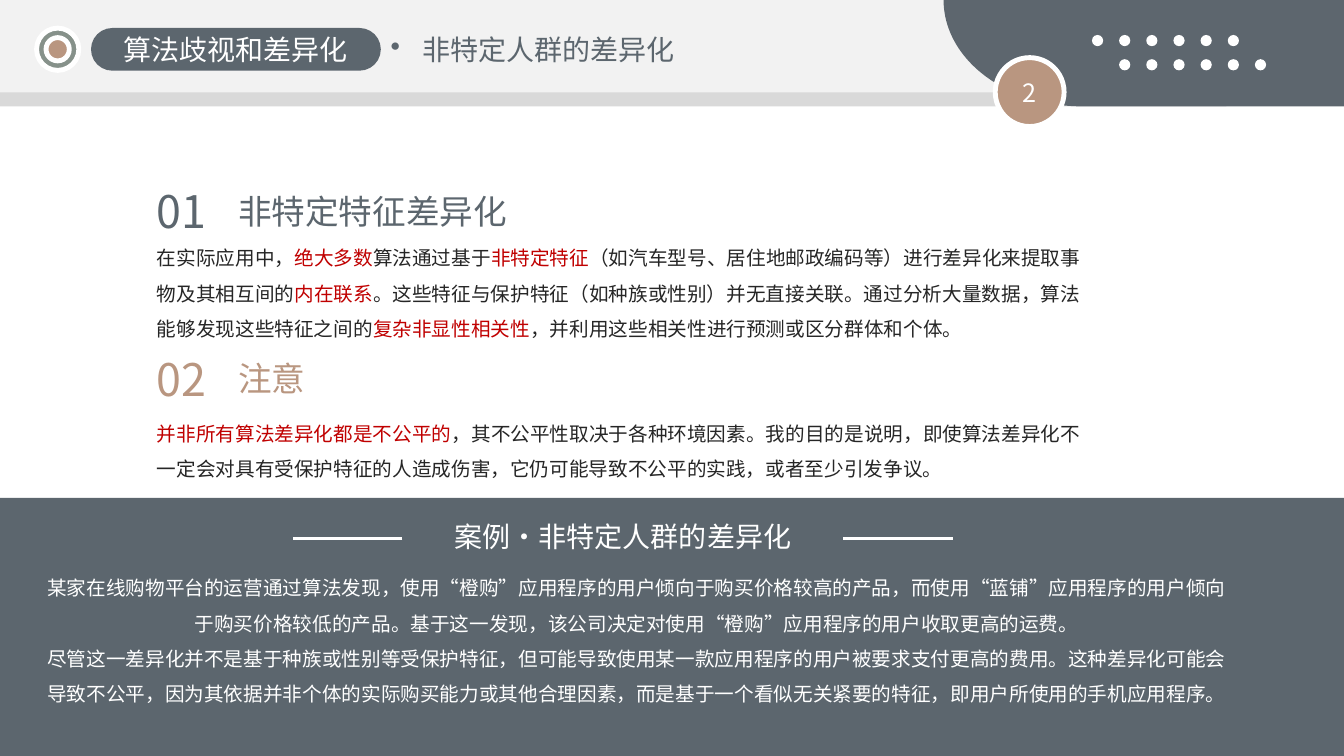
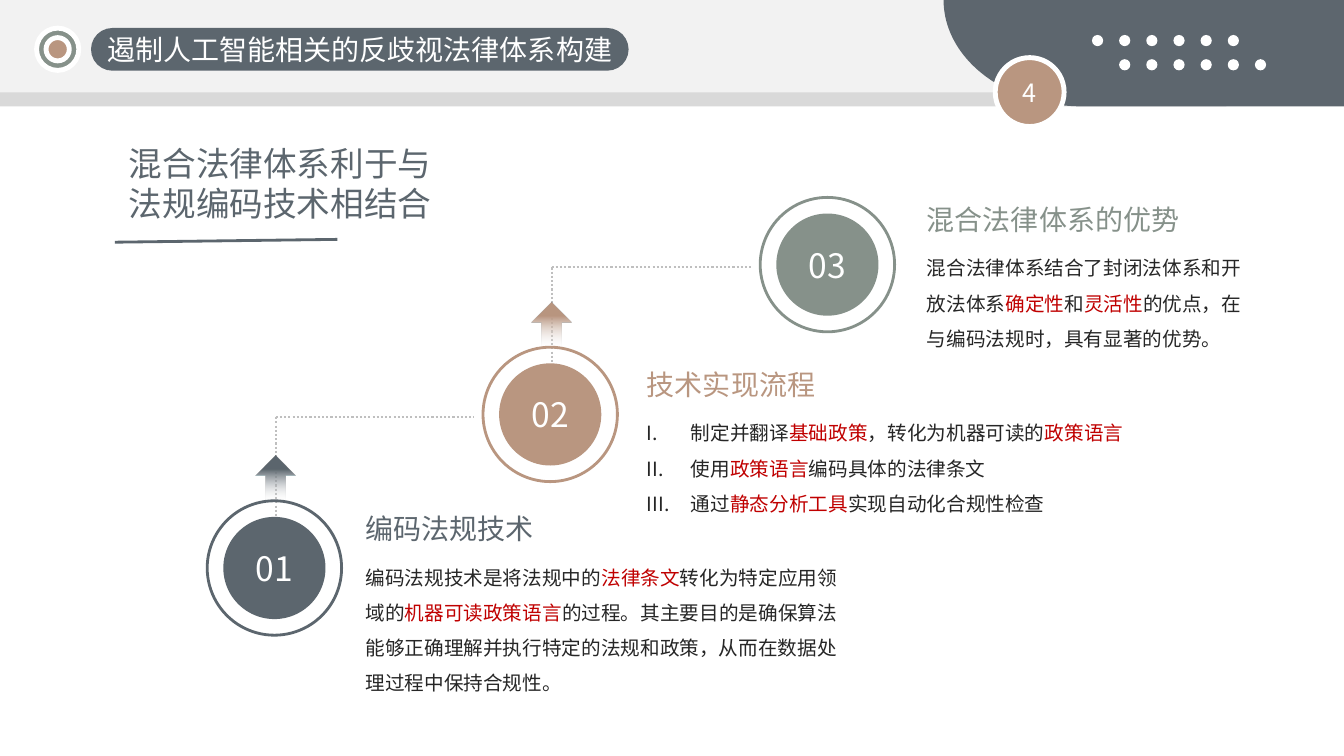
from math import cos, pi, sin

from lxml import etree
from pptx import Presentation
from pptx.dml.color import RGBColor
from pptx.enum.dml import MSO_LINE
from pptx.enum.shapes import MSO_CONNECTOR, MSO_SHAPE
from pptx.enum.text import MSO_ANCHOR, PP_ALIGN
from pptx.oxml.ns import qn
from pptx.util import Pt

FONT = "Noto Sans CJK SC"
COLORS = {
    "slate": "5C666E", "corner": "5D666E", "tan": "B99680", "sage": "86918A",
    "white": "FFFFFF", "band": "F2F2F2", "edge": "D9D9D9", "dots": "BFBFBF",
    "ink": "262626", "accent": "C00000", "fade": "F7F7F8",
}
WIDTH, HEIGHT = 960, 540
HEADER_H = 76
TIGHT, OPEN = 1.2, 1.8  # line pitch as a multiple of the text size


def rgb(name):
    return RGBColor.from_string(COLORS[name])


def paint(sp, fill=None, line=None, weight=2):
    sp.shadow.inherit = False
    if fill:
        sp.fill.solid()
        sp.fill.fore_color.rgb = rgb(fill)
    else:
        sp.fill.background()
    if line:
        sp.line.color.rgb = rgb(line)
        sp.line.width = Pt(weight)
    else:
        sp.line.fill.background()
    return sp


def add_shape(s, kind, x, y, w, h, **style):
    sp = s.shapes.add_shape(kind, Pt(x), Pt(y), Pt(w), Pt(h))
    return paint(sp, **style)


def add_circle(s, cx, cy, d, **style):
    return add_shape(s, MSO_SHAPE.OVAL, cx - d / 2, cy - d / 2, d, d, **style)


def add_line(s, x1, y1, x2, y2, color, weight=2, dash=None):
    ln = s.shapes.add_connector(MSO_CONNECTOR.STRAIGHT, Pt(x1), Pt(y1), Pt(x2), Pt(y2))
    ln.line.color.rgb = rgb(color)
    ln.line.width = Pt(weight)
    if dash:
        ln.line.dash_style = dash
    etree.SubElement(ln._element.spPr, qn("a:effectLst"))


def add_bullet(p, hang, tag, **attrs):
    pPr = p._p.get_or_add_pPr()
    pPr.set("marL", str(Pt(hang)))
    pPr.set("indent", str(-Pt(hang)))
    etree.SubElement(pPr, qn(tag), attrs)


def write(sp, paragraphs, size, color="ink", pitch=TIGHT, align=PP_ALIGN.LEFT, bullet=None):
    """Fill a shape with paragraphs; text between asterisks takes the accent colour."""
    tf = sp.text_frame
    tf.word_wrap = True
    for i, text in enumerate(paragraphs):
        p = tf.paragraphs[0] if i == 0 else tf.add_paragraph()
        p.alignment = align
        p.line_spacing = Pt(size * pitch)
        if bullet:
            add_bullet(p, **bullet)
        for j, part in enumerate(text.split("*")):
            if not part:
                continue
            r = p.add_run()
            r.text = part
            for name, value in {"name": FONT, "size": Pt(size)}.items():
                setattr(r.font, name, value)
            r.font.color.rgb = rgb("accent" if j % 2 else color)
            etree.SubElement(r._r.get_or_add_rPr(), qn("a:ea"), typeface=FONT)


def add_text(s, x, y, w, h, paragraphs, size, **style):
    sp = s.shapes.add_textbox(Pt(x), Pt(y), Pt(w), Pt(h))
    write(sp, paragraphs, size, **style)


def label(sp, text, size):
    """Centre white text inside a shape."""
    tf = sp.text_frame
    tf.vertical_anchor = MSO_ANCHOR.MIDDLE
    for side in ("left", "right", "top", "bottom"):
        setattr(tf, f"margin_{side}", 0)
    write(sp, [text], size, color="white", align=PP_ALIGN.CENTER)


def draw_corner(s, left, number):
    """Dark corner with a rounded left side, two rows of dots and the section badge."""
    rx, steps = 99, 40
    arc = [(left + rx - rx * sin(a), HEADER_H * cos(a))
           for a in (pi / 2 * i / steps for i in range(steps + 1))]
    outline = [(Pt(x), Pt(y)) for x, y in [(WIDTH, 0), (WIDTH, HEADER_H)] + arc]
    fb = s.shapes.build_freeform(*outline[0], scale=1.0)
    fb.add_line_segments(outline[1:], close=True)
    paint(fb.convert_to_shape(), fill="corner")

    gap = 19.4
    for row in range(2):
        for col in range(6):
            add_circle(s, left + 110 + (col + row) * gap, 29 + row * 17.3, 8, fill="white")
    badge = add_circle(s, left + 61.5, 65.8, 49.2, fill="tan", line="white", weight=3.5)
    label(badge, number, 18)


def draw_header(s, number, title, title_w, subtitle=None):
    band_h = 66
    for y, fill in ((HEADER_H - band_h, "edge"), (0, "band")):
        add_shape(s, MSO_SHAPE.RECTANGLE, 0, y, 876, band_h, fill=fill)
    draw_corner(s, 674, number)
    for d, fill in ((30.2, "sage"), (16.6, "tan")):
        add_circle(s, 41.2, 35.2, d, fill=fill, line="white", weight=3.5)
    x, y, h = 65, 20, 30.5
    pill = add_shape(s, MSO_SHAPE.ROUNDED_RECTANGLE, x, y, title_w, h, fill="slate")
    pill.adjustments[0] = 0.5
    label(pill, title, 20)
    if subtitle:
        add_text(s, x + title_w, y, 379, h, [subtitle], 20, color="slate",
                 bullet={"hang": 22.5, "tag": "a:buChar", "char": "•"})


def draw_point(s, x, y, number, heading, body, color, body_y, width):
    add_text(s, x, y, 80, 46, [number], 32, color=color)
    add_text(s, x + 58, y + 4.5, 211, 36, [heading], 24, color=color)
    add_text(s, x, y + body_y, width, 60, [body], 14, pitch=OPEN)


def draw_case(s, top, title, paragraphs):
    add_shape(s, MSO_SHAPE.RECTANGLE, 0, top, WIDTH, HEIGHT - top, fill="slate")
    center, inner, outer = 445, 157.5, 236
    add_text(s, center - 141, top + 11.5, 282, 32, [title], 20,
             color="white", align=PP_ALIGN.CENTER)
    for side in (-1, 1):
        add_line(s, center + side * inner, top + 28.8, center + side * outer, top + 28.8, "white")
    add_text(s, 26, top + 44, 858, 109, paragraphs, 14,
             color="white", pitch=OPEN, align=PP_ALIGN.CENTER)


def draw_arrow(s, cx, top, color):
    """Up arrow that fades out towards its tail."""
    w, h = 28.8, 32.4
    sp = add_shape(s, MSO_SHAPE.UP_ARROW, cx - w / 2, top, w, h)
    sp.fill.gradient()
    sp.fill.gradient_angle = 90
    for stop, position, name in zip(sp.fill.gradient_stops, (0, 0.7), ("fade", color)):
        stop.position = position
        stop.color.rgb = rgb(name)
    clear = next(sp._element.spPr.iter(qn("a:srgbClr")))
    etree.SubElement(clear, qn("a:alpha"), val="0")


def draw_link(s, start, end, color):
    """Dotted elbow and arrow from one step up to the next."""
    (cx, cy), (next_x, next_y) = start, end
    x, y = cx + 1, next_y + 2
    for x2, y2 in ((next_x - 54.5, y), (x, cy)):
        add_line(s, x, y, x2, y2, "dots", 1.5, MSO_LINE.ROUND_DOT)
    draw_arrow(s, x, cy - 80, color)


def draw_step(s, cx, cy, number, color):
    label(add_circle(s, cx, cy, 73, fill=color), number, 24)
    add_circle(s, cx, cy, 96, line=color)


def draw_step_text(s, x, y, w, heading, body, color, bullet=None):
    add_text(s, x, y, w, 32, [heading], 20, color=color)
    add_text(s, x, y + 30, w, 84, body, 14, pitch=OPEN, bullet=bullet)


def build_differentiation(s):
    draw_header(s, "2", "算法歧视和差异化", 207, "非特定人群的差异化")
    draw_point(
        s, 105, 128, "01", "非特定特征差异化",
        "在实际应用中，*绝大多数*算法通过基于*非特定特征*（如汽车型号、居住地邮政编码等）"
        "进行差异化来提取事物及其相互间的*内在联系*。这些特征与保护特征（如种族或性别）"
        "并无直接关联。通过分析大量数据，算法能够发现这些特征之间的*复杂非显性相关性*，"
        "并利用这些相关性进行预测或区分群体和个体。",
        "slate", 36, 675)
    draw_point(
        s, 105, 247.5, "02", "注意",
        "*并非所有算法差异化都是不公平的*，其不公平性取决于各种环境因素。我的目的是说明，"
        "即使算法差异化不一定会对具有受保护特征的人造成伤害，它仍可能导致不公平的实践，"
        "或者至少引发争议。",
        "tan", 42, 682)
    draw_case(s, 355.7, "案例·非特定人群的差异化", [
        "某家在线购物平台的运营通过算法发现，使用“橙购”应用程序的用户倾向于购买价格较高的产品，"
        "而使用“蓝铺”应用程序的用户倾向于购买价格较低的产品。基于这一发现，"
        "该公司决定对使用“橙购”应用程序的用户收取更高的运费。",
        "尽管这一差异化并不是基于种族或性别等受保护特征，但可能导致使用某一款应用程序的用户"
        "被要求支付更高的费用。这种差异化可能会导致不公平，因为其依据并非个体的实际购买能力"
        "或其他合理因素，而是基于一个看似无关紧要的特征，即用户所使用的手机应用程序。",
    ])


def build_legal_system(s):
    draw_header(s, "4", "遏制人工智能相关的反歧视法律体系构建", 384)
    add_text(s, 85, 98.6, 240, 66, ["混合法律体系利于与法规编码技术相结合"], 24, color="slate")
    add_line(s, 82, 173, 241, 171, "slate")

    centers = [(196, 405.7), (393, 296), (591, 189)]
    colors = ["slate", "tan", "sage"]
    for start, end, color in zip(centers, centers[1:], colors):
        draw_link(s, start, end, color)
    for i, (center, color) in enumerate(zip(centers, colors), 1):
        draw_step(s, *center, f"{i:02}", color)

    numerals = {"hang": 31.5, "tag": "a:buAutoNum", "type": "romanUcPeriod"}
    texts = [
        (254, 362, 365, "编码法规技术", [
            "编码法规技术是将法规中的*法律条文*转化为特定应用领域的*机器可读政策语言*的过程。"
            "其主要目的是确保算法能够正确理解并执行特定的法规和政策，从而在数据处理过程中保持合规性。",
        ], "slate"),
        (455, 259, 383, "技术实现流程", [
            "制定并翻译*基础政策*，转化为机器可读的*政策语言*",
            "使用*政策语言*编码具体的法律条文",
            "通过*静态分析工具*实现自动化合规性检查",
        ], "tan", numerals),
        (655, 141, 249, "混合法律体系的优势", [
            "混合法律体系结合了封闭法体系和开放法体系*确定性*和*灵活性*的优点，"
            "在与编码法规时，具有显著的优势。",
        ], "sage"),
    ]
    for text in texts:
        draw_step_text(s, *text)


def main():
    prs = Presentation()
    prs.slide_width, prs.slide_height = Pt(WIDTH), Pt(HEIGHT)
    for build in (build_differentiation, build_legal_system):
        build(prs.slides.add_slide(prs.slide_layouts[6]))
    prs.save("out.pptx")


if __name__ == "__main__":
    main()
